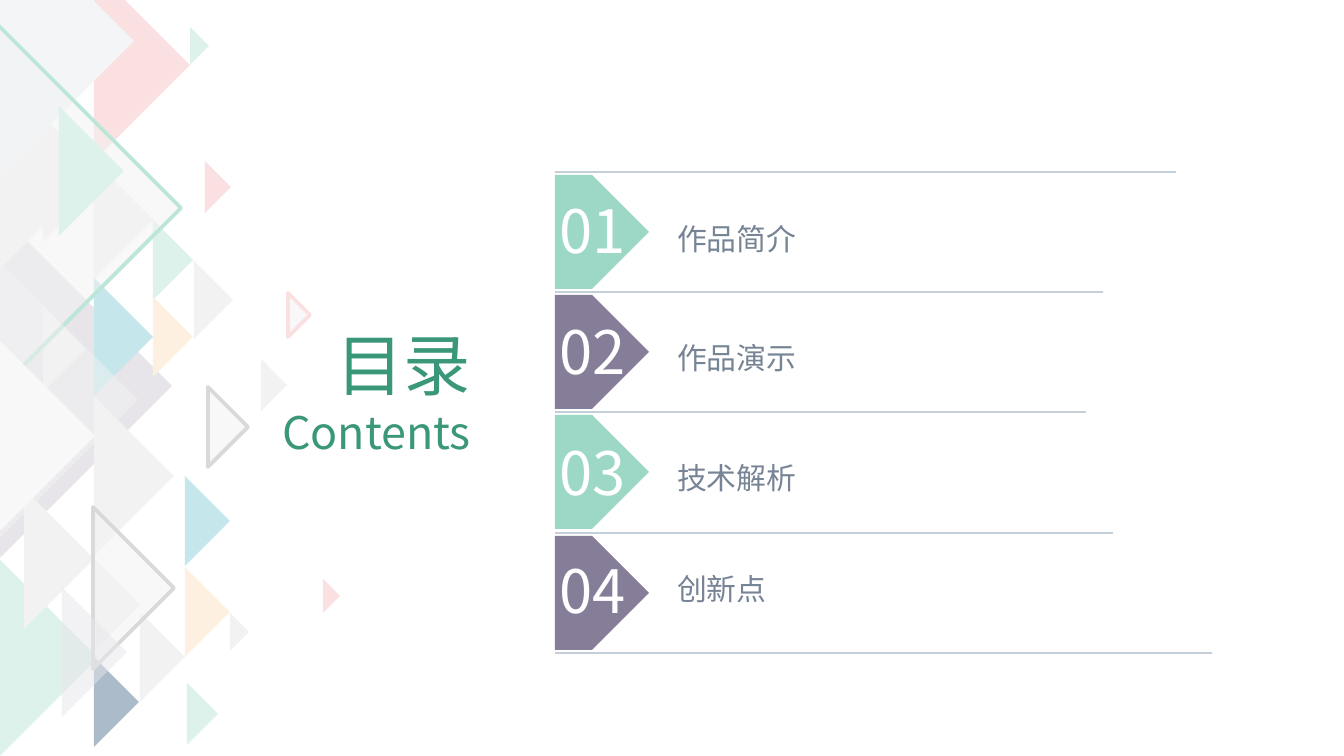
from lxml import etree
from pptx import Presentation
from pptx.dml.color import RGBColor
from pptx.enum.shapes import MSO_CONNECTOR
from pptx.enum.text import MSO_AUTO_SIZE, PP_ALIGN
from pptx.oxml.ns import qn
from pptx.util import Pt

PX = 914400 / 134.4
FONT = "Noto Sans CJK SC"
STRAIGHT = MSO_CONNECTOR.STRAIGHT
LEFT, RIGHT = PP_ALIGN.LEFT, PP_ALIGN.RIGHT
FIT_SHAPE = MSO_AUTO_SIZE.SHAPE_TO_FIT_TEXT

WHITE = RGBColor(0xFF, 0xFF, 0xFF)
GREY = RGBColor(0xF2, 0xF2, 0xF2)
MIST = RGBColor(0xF3, 0xF5, 0xF7)
EDGE = RGBColor(0xD9, 0xD9, 0xD9)
LILAC = RGBColor(0xE7, 0xE5, 0xEA)
PINK = RGBColor(0xFB, 0xE0, 0xE1)
MINT = RGBColor(0xDE, 0xF2, 0xEC)
MINT_EDGE = RGBColor(0xBD, 0xE5, 0xD8)
CREAM = RGBColor(0xFE, 0xF0, 0xE1)
AQUA = RGBColor(0xC5, 0xE7, 0xEB)
SLATE = RGBColor(0xAB, 0xBB, 0xC9)
RULE = RGBColor(0xC4, 0xCF, 0xD9)
LABEL = RGBColor(0x77, 0x84, 0x95)
GREEN = RGBColor(0x9C, 0xD8, 0xC5)
PURPLE = RGBColor(0x86, 0x7D, 0x98)
TITLE = RGBColor(0x3B, 0x97, 0x79)

# Triangles pointing right: left, top, half height (= width), fill, alpha %, edge
TRIANGLES = [
    (0, 214, 172, LILAC, 100, None),
    (0, 73, 98, GREY, 100, None),
    (94, 161, 59, GREY, 100, None),
    (94, -31, 96, PINK, 100, None),
    (153, 220, 40, MINT, 100, None),
    (153, 297, 40, CREAM, 100, None),
    (94, 278, 59, AQUA, 100, None),
    (94, 396, 80, GREY, 100, None),
    (94, 559, 46, GREY, 100, None),
    (0, 560, 98, MINT, 100, None),
    (94, 657, 45, SLATE, 100, None),
    (140, 612, 45, GREY, 100, None),
    (185, 567, 45, CREAM, 100, None),
    (185, 476, 45, AQUA, 100, None),
    (0, 383, 68, GREY, 100, None),
    (0, -93, 134, MIST, 100, None),
    (43, 156, 43, GREY, 100, None),
    (43, 306, 43, GREY, 100, None),
    (24, 489, 70, GREY, 100, None),
    (205, 161, 26, PINK, 100, None),
    (-8, 19, 189, GREY, 50, MINT_EDGE),
    (-8, 333, 103, WHITE, 100, None),
    (93, 507, 81, GREY, 50, EDGE),
    (208, 387, 40, GREY, 50, EDGE),
    (288, 293, 22, GREY, 50, PINK),
    (261, 359, 26, GREY, 100, None),
    (230, 613, 19, GREY, 100, None),
    (187, 683, 31, MINT, 100, None),
    (0, 262, 138, GREY, 50, None),
    (62, 587, 65, LILAC, 50, None),
    (59, 106, 65, MINT, 100, None),
    (194, 261, 39, GREY, 100, None),
    (190, 27, 19, MINT, 100, None),
    (323, 579, 17, PINK, 100, None),
]

# Contents rows: number, label, badge fill, rule end, number offset, label offset
ROWS = [
    ("01", "作品简介", GREEN, 1176, 15, 42),
    ("02", "作品演示", PURPLE, 1103, 16, 41),
    ("03", "技术解析", GREEN, 1086, 17, 41),
    ("04", "创新点", PURPLE, 1113, 14, 31),
]
LAST_RULE_END = 1212


def px(n):
    return round(n * PX)


def add_polygon(s, points, fill, alpha=100, edge=None):
    builder = s.shapes.build_freeform(*points[0], scale=PX)
    builder.add_line_segments(points[1:], close=True)
    sp = builder.convert_to_shape()
    sp.shadow.inherit = False
    sp.fill.solid()
    sp.fill.fore_color.rgb = fill
    if alpha < 100:
        color = sp.fill._xPr.find(".//" + qn("a:srgbClr"))
        etree.SubElement(color, qn("a:alpha"), val=str(alpha * 1000))
    if edge is None:
        sp.line.fill.background()
    else:
        sp.line.color.rgb = edge
        sp.line.width = Pt(2)
        etree.SubElement(sp.line._ln, qn("a:round"))


def add_text(s, box, lines, color, align=LEFT, wrap=True):
    tf = s.shapes.add_textbox(*map(px, box)).text_frame
    tf.word_wrap = wrap
    tf.auto_size = FIT_SHAPE
    for i, (text, size) in enumerate(lines):
        p = tf.add_paragraph() if i else tf.paragraphs[0]
        p.alignment = align
        r = p.add_run()
        r.text = text
        r.font.color.rgb = color
        for name, value in {"size": Pt(size), "name": FONT}.items():
            setattr(r.font, name, value)
        etree.SubElement(r.font._element, qn("a:ea"), typeface=FONT)


def add_rule(s, x1, x2, y):
    rule = s.shapes.add_connector(STRAIGHT, px(x1), px(y), px(x2), px(y))
    rule.line.color.rgb = RULE
    rule.line.width = Pt(1)
    etree.SubElement(rule._element.spPr, qn("a:effectLst"))


def add_triangles(s, left, top):
    for x, y, h, fill, alpha, edge in TRIANGLES:
        x, y = left + x, top + y
        add_polygon(s, [(x + h, y + h), (x, y + 2 * h), (x, y)], fill, alpha, edge)


def add_contents(s, left, top, height):
    step = height / len(ROWS)
    for i, (number, label, fill, end, number_dy, label_dy) in enumerate(ROWS):
        y = round(top + i * step)
        add_rule(s, left, end, y)
        # Arrow-shaped badge
        b = y + 3
        add_polygon(s, [(left, b), (left + 37, b), (left + 94, b + 57),
                        (left + 37, b + 114), (left, b + 114)], fill)
        add_text(s, (left - 9, y + number_dy, 98, 86), [(number, 32)], WHITE, wrap=False)
        add_text(s, (left + 109, y + label_dy, 356, 50), [(label, 16)], LABEL)
    add_rule(s, left, LAST_RULE_END, top + height)


prs = Presentation()
prs.slide_width, prs.slide_height = px(1344), px(756)
s = prs.slides.add_slide(prs.slide_layouts[6])

add_triangles(s, 0, 0)
add_contents(s, 555, 172, 481)
add_text(s, (234, 317, 250, 149), [("目录", 36), ("Contents", 24)], TITLE, RIGHT)

prs.save("out.pptx")
